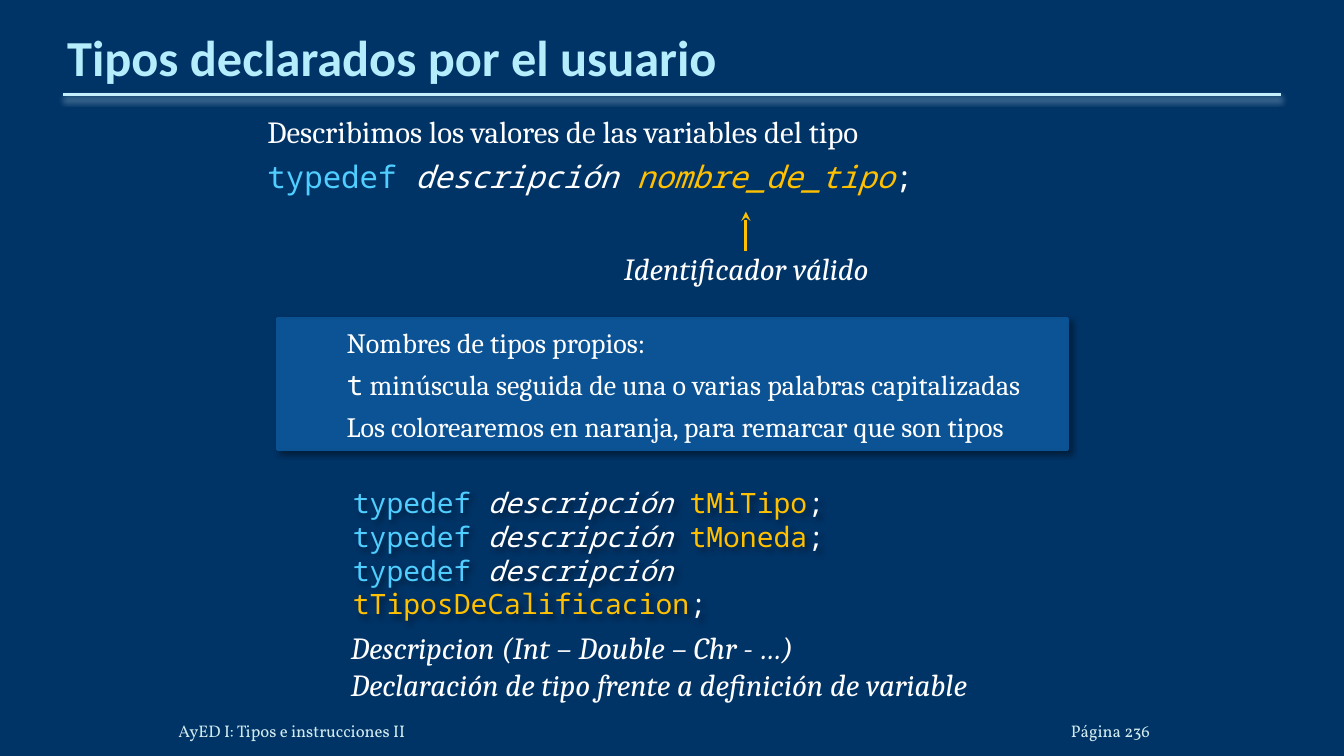
"""Builds the slide on user-declared types."""
from dataclasses import dataclass

from lxml import etree
from pptx import Presentation
from pptx.dml.color import RGBColor
from pptx.enum import shapes, text
from pptx.oxml import ns
from pptx.util import Pt


@dataclass(frozen=True)
class Theme:
    background: str = "003366"
    title: str = "B5EDFD"
    rule: str = "C4EFFF"
    rule_glow: str = "B5D5E5"
    white: str = "FFFFFF"
    keyword: str = "4FCEFF"
    type_name: str = "FFC000"
    panel: str = "0B5394"
    panel_edge: str = "0B5292"
    footer: str = "D1EAEE"
    black: str = "000000"
    heading_font: str = "Calibri"
    body_font: str = "Cambria"
    code_font: str = "Noto Sans Mono"
    footer_font: str = "Vollkorn"
    title_size: int = 36
    body_size: int = 22
    panel_size: int = 20
    footer_size: int = 12


THEME = Theme()
CODE = THEME.code_font
KEYWORD = ("typedef ", dict(color=THEME.keyword, name=CODE))
DESCRIPTION = ("descripción ", dict(italic=True, name=CODE))
END = (";", dict(name=CODE))


def typedef(name, italic=False):
    return [KEYWORD, DESCRIPTION, (name, dict(color=THEME.type_name, italic=italic, name=CODE)), END]


TITLE = ["Tipos declarados por el usuario"]
SYNTAX = ["Describimos los valores de las variables del tipo", typedef("nombre_de_tipo", italic=True)]
IDENTIFIER = ["Identificador válido"]
NAMING = [
    "Nombres de tipos propios:",
    [("t", dict(name=CODE)),
     (" minúscula seguida de una o varias palabras capitalizadas", dict(name=THEME.body_font))],
    "Los colorearemos en naranja, para remarcar que son tipos",
]
EXAMPLES = [typedef(name) for name in ("tMiTipo", "tMoneda", "tTiposDeCalificacion")]
REMARK = ["Descripcion (Int – Double – Chr - …)\vDeclaración de tipo frente a definición de variable"]
FOOTER = ["AyED I: Tipos e instrucciones II"]
PAGE = ["Página 236"]

BOTTOM = text.MSO_ANCHOR.BOTTOM


def style(font, color=None, **traits):
    if color:
        font.color.rgb = RGBColor.from_string(color)
    for trait, value in traits.items():
        setattr(font, trait, value)


def write(shape, paragraphs, size, name=THEME.body_font, color=THEME.white, bold=False, italic=False,
          align=text.PP_ALIGN.LEFT, anchor=text.MSO_ANCHOR.TOP, after=0, indent=0, margins=None):
    frame = shape.text_frame
    frame.word_wrap = True
    frame.vertical_anchor = anchor
    if margins:
        frame.margin_left, frame.margin_top, frame.margin_right, frame.margin_bottom = map(Pt, margins)
    for index, content in enumerate(paragraphs):
        paragraph = frame.add_paragraph() if index else frame.paragraphs[0]
        paragraph.alignment = align
        paragraph.space_after = Pt(after)
        if indent:
            paragraph._p.get_or_add_pPr().set("marL", str(Pt(indent)))
        if isinstance(content, str):
            paragraph.text = content
            style(paragraph.font, color, size=Pt(size), name=name, bold=bold, italic=italic)
        else:
            style(paragraph.font, size=Pt(size))
            for words, traits in content:
                run = paragraph.add_run()
                run.text = words
                style(run.font, **{"color": color, **traits})


def add_text(slide, box, paragraphs, size, **options):
    label = slide.shapes.add_textbox(*map(Pt, box))
    write(label, paragraphs, size, **options)
    return label


def set_shadow(shape, color=None, alpha=0, blur=0, distance=0, angle=0):
    properties = shape._element.spPr
    for old in properties.findall(ns.qn("a:effectLst")):
        properties.remove(old)
    effects = etree.SubElement(properties, ns.qn("a:effectLst"))
    if color:
        shadow = etree.SubElement(effects, ns.qn("a:outerShdw"), blurRad=str(Pt(blur)), dist=str(Pt(distance)),
                                  dir=str(angle * 60000), algn="tl", rotWithShape="0")
        tint = etree.SubElement(shadow, ns.qn("a:srgbClr"), val=color)
        etree.SubElement(tint, ns.qn("a:alpha"), val=str(alpha * 1000))


def add_line(slide, ends, color):
    line = slide.shapes.add_connector(shapes.MSO_CONNECTOR.STRAIGHT, *map(Pt, ends))
    line.line.color.rgb = RGBColor.from_string(color)
    line.line.width = Pt(2.25)
    return line


def main():
    deck = Presentation()
    deck.slide_width, deck.slide_height = Pt(960), Pt(540)
    slide = deck.slides.add_slide(deck.slide_layouts[6])
    slide.background.fill.solid()
    slide.background.fill.fore_color.rgb = RGBColor.from_string(THEME.background)

    title_rule = add_line(slide, (45, 67.5, 915, 67.5), THEME.rule)
    set_shadow(title_rule, THEME.rule_glow, 48, 4.5, 3, 90)
    add_text(slide, (48, 22.5, 864, 39.5), TITLE, THEME.title_size, name=THEME.heading_font,
             color=THEME.title, bold=True, anchor=BOTTOM, after=6, margins=(0, 3.6, 0, 0))
    add_text(slide, (156, 77, 659, 402), SYNTAX, THEME.body_size, after=6, indent=28)

    footer = dict(name=THEME.footer_font, color=THEME.footer, anchor=BOTTOM, margins=(0, 0, 0, 0))
    add_text(slide, (727, 500.5, 94.5, 28.5), PAGE, THEME.footer_size, align=text.PP_ALIGN.RIGHT, **footer)
    add_text(slide, (127.5, 500.5, 585, 28.5), FOOTER, THEME.footer_size, **footer)

    panel = slide.shapes.add_shape(shapes.MSO_SHAPE.RECTANGLE, *map(Pt, (198, 227.5, 564.5, 93.5)))
    panel.fill.solid()
    panel.fill.fore_color.rgb = RGBColor.from_string(THEME.panel)
    panel.line.color.rgb = RGBColor.from_string(THEME.panel_edge)
    panel.line.width = Pt(2)
    set_shadow(panel, THEME.black, 40, 4, 3, 45)
    write(panel, NAMING, THEME.panel_size, anchor=text.MSO_ANCHOR.MIDDLE, after=6, indent=42.5)

    examples = add_text(slide, (245, 343.5, 470, 80), EXAMPLES, THEME.panel_size)
    set_shadow(examples, THEME.black, 40, 4, 3, 45)

    add_text(slide, (435, 175, 196, 34), IDENTIFIER, THEME.body_size, italic=True, align=text.PP_ALIGN.CENTER)
    pointer = add_line(slide, (532.8, 179.3, 532.8, 151.2), THEME.type_name)
    etree.SubElement(pointer.line._get_or_add_ln(), ns.qn("a:tailEnd"), type="stealth")
    set_shadow(pointer)

    add_text(slide, (243.5, 445.5, 474, 60.5), REMARK, THEME.body_size, italic=True)
    deck.save("out.pptx")


if __name__ == "__main__":
    main()
